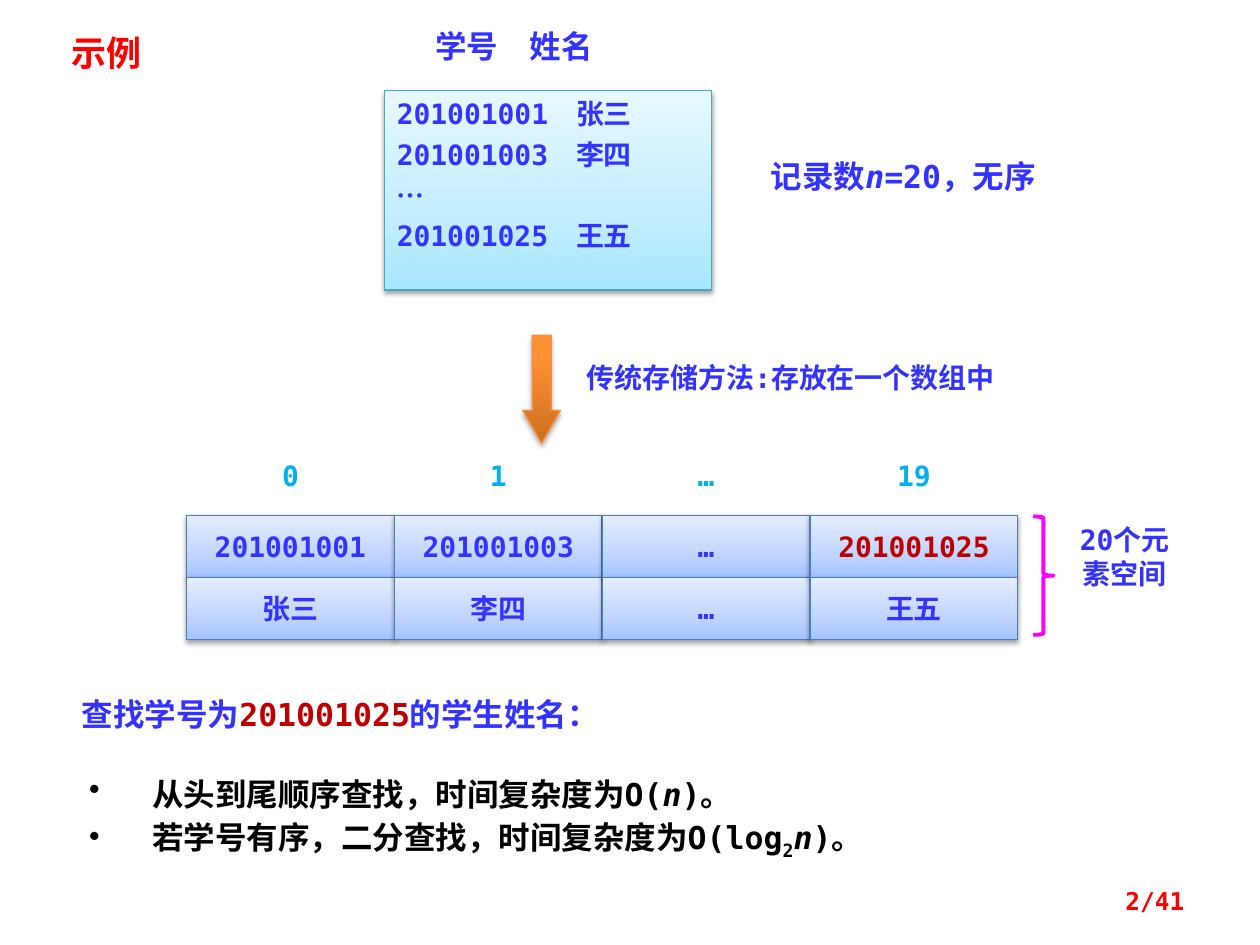
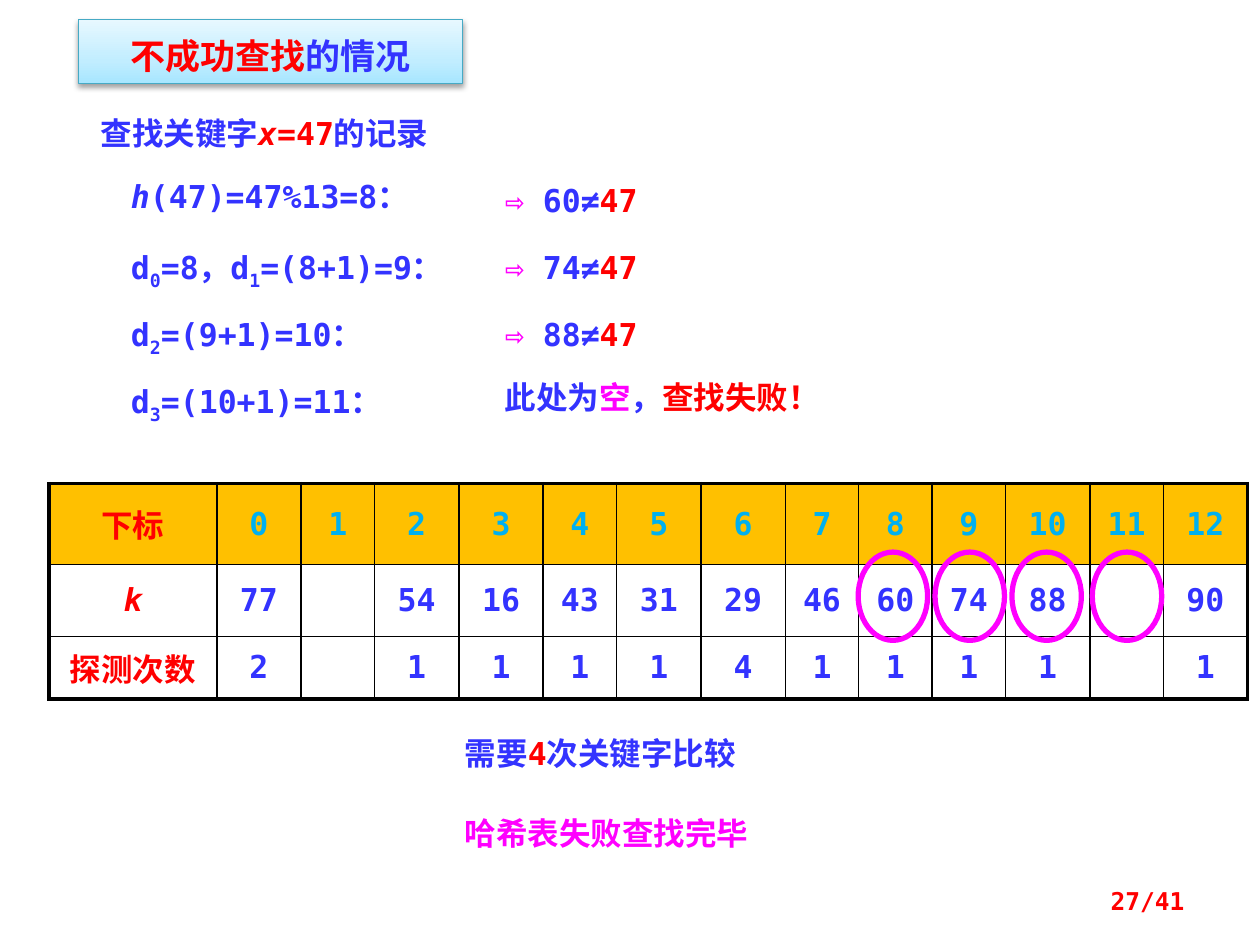
from copy import deepcopy
from lxml.etree import SubElement as Sub
from pptx import Presentation
from pptx.dml.color import RGBColor as Rgb
from pptx.enum.shapes import MSO_SHAPE as Kind
from pptx.enum.text import MSO_ANCHOR as Anchor, PP_ALIGN as Align
from pptx.oxml.ns import qn
from pptx.util import Cm, Pt

HUES = {
    "blue": "3333FF", "red": "FF0000", "dark": "C00000", "sky": "00B0F0",
    "pink": "FF00FF", "black": "000000", "white": "FFFFFF", "gold": "FFC000",
}
# Gradient stops from bottom to top, then the edge colour
AQUA = [(0, "A7E6FF"), (0.35, "C1EDFF"), (1, "E7F8FF")], "46AAC5"
STEEL = [(0, "A4C4FF"), (0.35, "BFD4FF"), (1, "E6EEFF")], "4B7EBC"
AMBER = [(0, "CC6E20"), (0.8, "FF9034"), (1, "FF9136")], "F69240"
MONO, HAN = "DejaVu Sans Mono", "Noto Sans CJK SC"
LEFT, MID, RIGHT = Align.LEFT, Align.CENTER, Align.RIGHT


def put(frame, lines, size, hue="blue", align=LEFT, lead=None, gap=0):
    """Write lines of runs; a run is a string or (string, mark, ...)."""
    frame.text = "\n".join([""] * len(lines))
    for para, line in zip(frame.paragraphs, lines):
        para.alignment, para.space_before = align, Pt(gap)
        if lead:
            para.line_spacing = lead
        for part in line:
            word, *marks = (part,) if isinstance(part, str) else part
            run = para.add_run()
            run.text = word
            font = run.font
            font.size, font.bold, font.italic = Pt(size), True, "i" in marks
            tone = next((m for m in marks if m in HUES), hue)
            font.color.rgb = Rgb.from_string(HUES[tone])
            font.name = HAN if "han" in marks else MONO
            props = run._r.get_or_add_rPr()
            Sub(props, qn("a:ea"), typeface=HAN)
            if "sub" in marks:
                props.set("baseline", "-25000")


def shade(shape, look, alpha=38, drop=20000):
    """Give a shape an upward gradient, a thin edge and a soft shadow."""
    stops, edge = look
    fill = shape.fill
    fill.gradient()
    fill.gradient_angle = 90
    rack = shape._element.spPr.find(".//" + qn("a:gsLst"))
    rack.append(deepcopy(rack[0]))
    for stop, (pos, code) in zip(fill.gradient_stops, stops):
        stop.position, stop.color.rgb = pos, Rgb.from_string(code)
    shape.line.color.rgb = Rgb.from_string(edge)
    shape.line.width = Pt(0.75)
    shape.shadow.inherit = False
    glow = Sub(shape._element.spPr.find(qn("a:effectLst")), qn("a:outerShdw"),
               blurRad="40000", dist=str(drop), dir="5400000", rotWithShape="0")
    ink = Sub(glow, qn("a:srgbClr"), val=HUES["black"])
    Sub(ink, qn("a:alpha"), val=str(alpha * 1000))


deck = Presentation()
deck.slide_width, deck.slide_height = Cm(25.4), Cm(19.05)
one, two = [deck.slides.add_slide(deck.slide_layouts[6]) for _ in range(2)]

# Slide 1: records stored in an array
card = one.shapes.add_shape(Kind.RECTANGLE, Cm(7.75), Cm(1.83), Cm(6.6), Cm(4.02))
shade(card, AQUA)
card.text_frame.vertical_anchor = Anchor.TOP
put(card.text_frame, [["201001001\u3000张三"], ["201001003\u3000李四"],
                      [("…", "han")], ["201001025\u3000王五"]], 16, gap=4)

arrow = one.shapes.add_shape(Kind.DOWN_ARROW, Cm(10.54), Cm(6.76), Cm(0.76), Cm(2.18))
arrow.adjustments[0], arrow.adjustments[1] = 0.5, 0.88
shade(arrow, AMBER, 35, 23000)

wide, high, left, top = 4.19, 1.25, 3.76, 10.39
slots = [("0", "201001001", "张三"), ("1", "201001003", "李四"),
         ("…", "…", "…"), ("19", "201001025", "王五")]
for col, (spot, *pair) in enumerate(slots):
    x = left + col * wide
    for row, word in enumerate(pair):
        cell = one.shapes.add_shape(Kind.RECTANGLE, Cm(x), Cm(top + row * high),
                                    Cm(wide), Cm(high))
        shade(cell, STEEL)
        cell.text_frame.vertical_anchor = Anchor.MIDDLE
        tone = "dark" if word == "201001025" else "blue"
        put(cell.text_frame, [[word]], 16, tone, MID)
    label = one.shapes.add_textbox(Cm(x + 0.87), Cm(9.12), Cm(wide - 1.74), Cm(0.94))
    put(label.text_frame, [[spot]], 16, "sky", MID)

panel = one.shapes.add_shape(Kind.RECTANGLE, Cm(1.4), Cm(15.09), Cm(16.66), Cm(2.59))
panel.shadow.inherit = False
panel.fill.solid()
panel.fill.fore_color.rgb = Rgb.from_string(HUES["white"])
panel.line.fill.background()
frame = panel.text_frame
frame.vertical_anchor = Anchor.TOP
frame.margin_left, frame.margin_top, frame.margin_bottom = Cm(0.4), Cm(0.3), Cm(0.3)
put(frame, [
    ["从头到尾顺序查找，时间复杂度为O(", ("n", "i"), ")。"],
    ["若学号有序，二分查找，时间复杂度为O(log", ("2", "sub"), ("n", "i"), ")。"],
], 18, "black", lead=Pt(28))
for para in frame.paragraphs:
    props = para._p.get_or_add_pPr()
    props.set("marL", str(Cm(1.27)))
    props.set("indent", str(-Cm(1.27)))
    Sub(props, qn("a:buChar"), char="•")

# Slide 2: title box and hash table
head = two.shapes.add_shape(Kind.RECTANGLE, Cm(1.58), Cm(0.4), Cm(7.75), Cm(1.28))
shade(head, AQUA)
head.text_frame.vertical_anchor = Anchor.TOP
put(head.text_frame, [[("不成功查找", "red"), "的情况"]], 20, align=MID, lead=1.2)

rows = [
    ["下标", *map(str, range(13))],
    ["k", "77", "", "54", "16", "43", "31", "29", "46", "60", "74", "88", "", "90"],
    ["探测次数", "2", "", "1", "1", "1", "1", "4", "1", "1", "1", "1", "", "1"],
]
grid = two.shapes.add_table(3, 14, Cm(0.99), Cm(9.75), Cm(24.16), Cm(4.34)).table
grid.first_row = grid.horz_banding = False
for col, lane in enumerate(grid.columns):
    lane.width = Cm(3.38 if col == 0 else 1.48 if col in (2, 5, 8, 9, 10, 12) else 1.7)
for band, tall in zip(grid.rows, (1.63, 1.45, 1.26)):
    band.height = Cm(tall)
for row, words in enumerate(rows):
    for col, word in enumerate(words):
        cell = grid.cell(row, col)
        cell.vertical_anchor = Anchor.MIDDLE
        if word:
            tone = "red" if col == 0 else "sky" if row == 0 else "blue"
            part = (word, "i") if word == "k" else word
            put(cell.text_frame, [[part]], 18, tone, MID)
        rim = {"L": col == 0, "R": col == 13, "T": row == 0, "B": row == 2}
        for side, outer in rim.items():
            edge = Sub(cell._tc.get_or_add_tcPr(), qn("a:ln" + side),
                       w=str(Pt(2.25 if outer else 1)))
            Sub(Sub(edge, qn("a:solidFill")), qn("a:srgbClr"), val=HUES["black"])
        cell.fill.solid()
        cell.fill.fore_color.rgb = Rgb.from_string(HUES["white" if row else "gold"])

# Pink outlines: the brace and the rings round the probed cells
marks = [(one, Kind.RIGHT_BRACE, 20.83, 10.41, 0.41, 2.39, 2.25)]
marks += [(two, Kind.OVAL, x, 11.13, 1.4, 1.78, 3) for x in (17.3, 18.85, 20.4, 22.02)]
for page, kind, x, y, w, h, pen in marks:
    mark = page.shapes.add_shape(kind, Cm(x), Cm(y), Cm(w), Cm(h))
    mark.shadow.inherit = False
    mark.fill.background()
    mark.line.color.rgb = Rgb.from_string(HUES["pink"])
    mark.line.width = Pt(pen)

# Free text: page, left, top, width, height, size, colour, alignment, spacing, runs
notes = [
    (one, 8.53, 0.43, 5.41, 1.02, 18, "blue", LEFT, 1, ["学号\u3000姓名"]),
    (one, 15.29, 3.05, 7.01, 1.02, 18, "blue", LEFT, 1,
     ["记录数", ("n", "i"), "=20，无序"]),
    (one, 1.19, 0.51, 2.97, 1.12, 20, "red", LEFT, 1, ["示例"]),
    (one, 1.4, 13.89, 12.29, 1.02, 18, "blue", LEFT, 1,
     ["查找学号为", ("201001025", "dark"), "的学生姓名："]),
    (one, 11.58, 7.14, 11.23, 0.94, 16, "blue", LEFT, 1,
     ["传统存储方法:存放在一个数组中"]),
    (one, 21.31, 10.41, 2.72, 1.63, 16, "blue", MID, 1, ["20个元素空间"]),
    (two, 1.78, 2.18, 11.51, 1.02, 18, "blue", LEFT, 1,
     ["查找关键字", ("x", "i", "red"), ("=47", "red"), "的记录"]),
    (two, 9.12, 14.68, 7.75, 1.02, 18, "blue", LEFT, 1,
     ["需要", ("4", "red"), "次关键字比较"]),
    (two, 9.12, 16.28, 7.14, 1.02, 18, "pink", LEFT, 1, ["哈希表失败查找完毕"]),
]
steps = [
    [("h", "i"), "(47)=47%13=8："],
    ["d", ("0", "sub"), "=8，d", ("1", "sub"), "=(8+1)=9："],
    ["d", ("2", "sub"), "=(9+1)=10："],
    ["d", ("3", "sub"), "=(10+1)=11："],
]
ends = [[("⇨", "pink"), f" {key}≠", ("47", "red")] for key in (60, 74, 88)]
ends.append(["此处为", ("空", "pink"), "，", ("查找失败！", "red")])
for at, (step, end) in enumerate(zip(steps, ends)):
    y = 3.53 + 1.35 * at
    last = at == 3
    notes.append((two, 2.39, y, 7.5, 0.94, 18, "blue", LEFT, 0.9, step))
    notes.append((two, 9.93, y, 8.13 if last else 3.76, 1.02, 18, "blue", LEFT,
                  0.9 if last else 1, end))
for page, count in ((one, "2/41"), (two, "27/41")):
    notes.append((page, 18.21, 17.65, 5.92, 1.02, 14, "red", RIGHT, 1, [count]))

for page, x, y, w, h, size, hue, align, lead, line in notes:
    note = page.shapes.add_textbox(Cm(x), Cm(y), Cm(w), Cm(h))
    note.text_frame.word_wrap = True
    if align == RIGHT:
        note.text_frame.vertical_anchor = Anchor.MIDDLE
    put(note.text_frame, [line], size, hue, align, lead)

deck.save("out.pptx")
